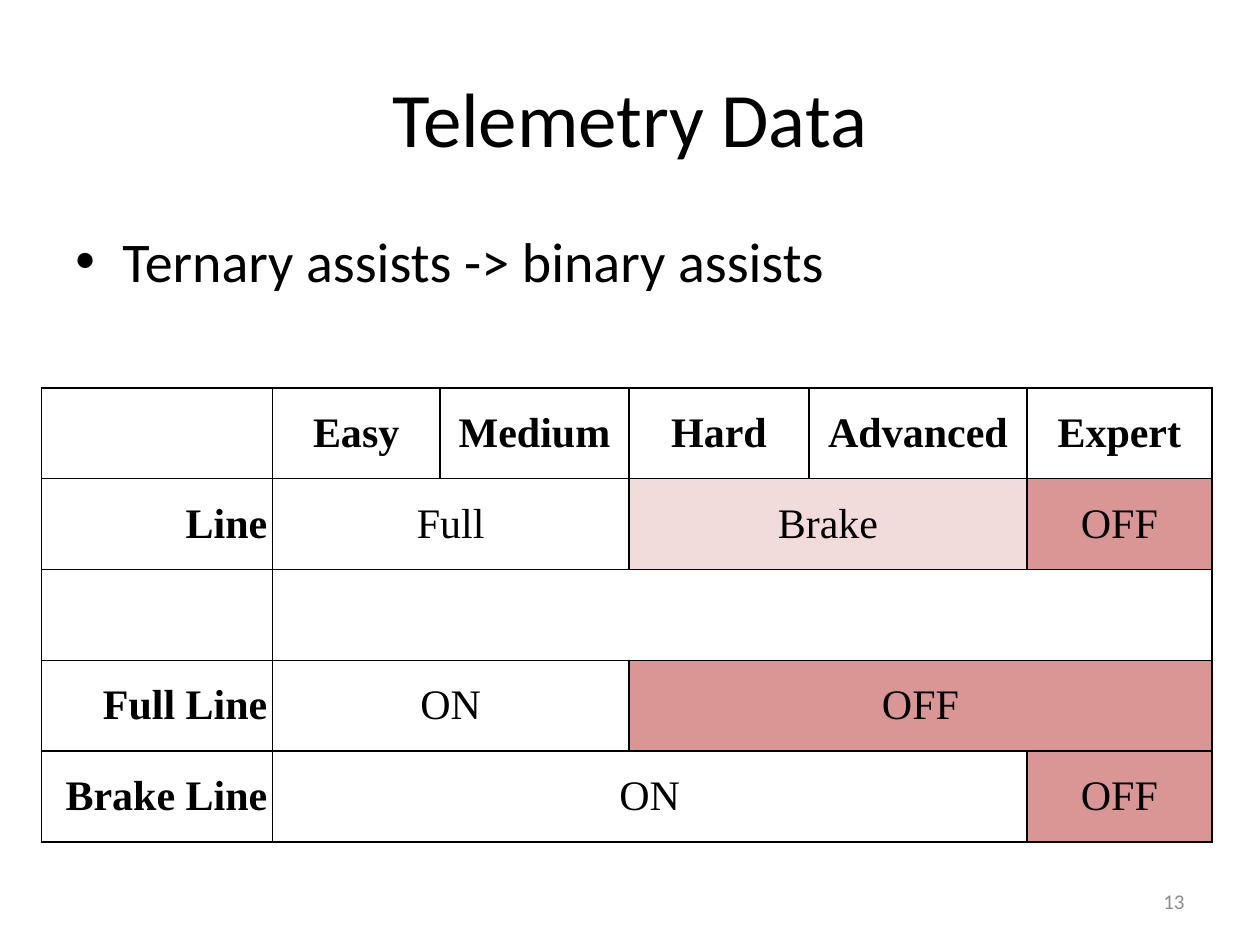
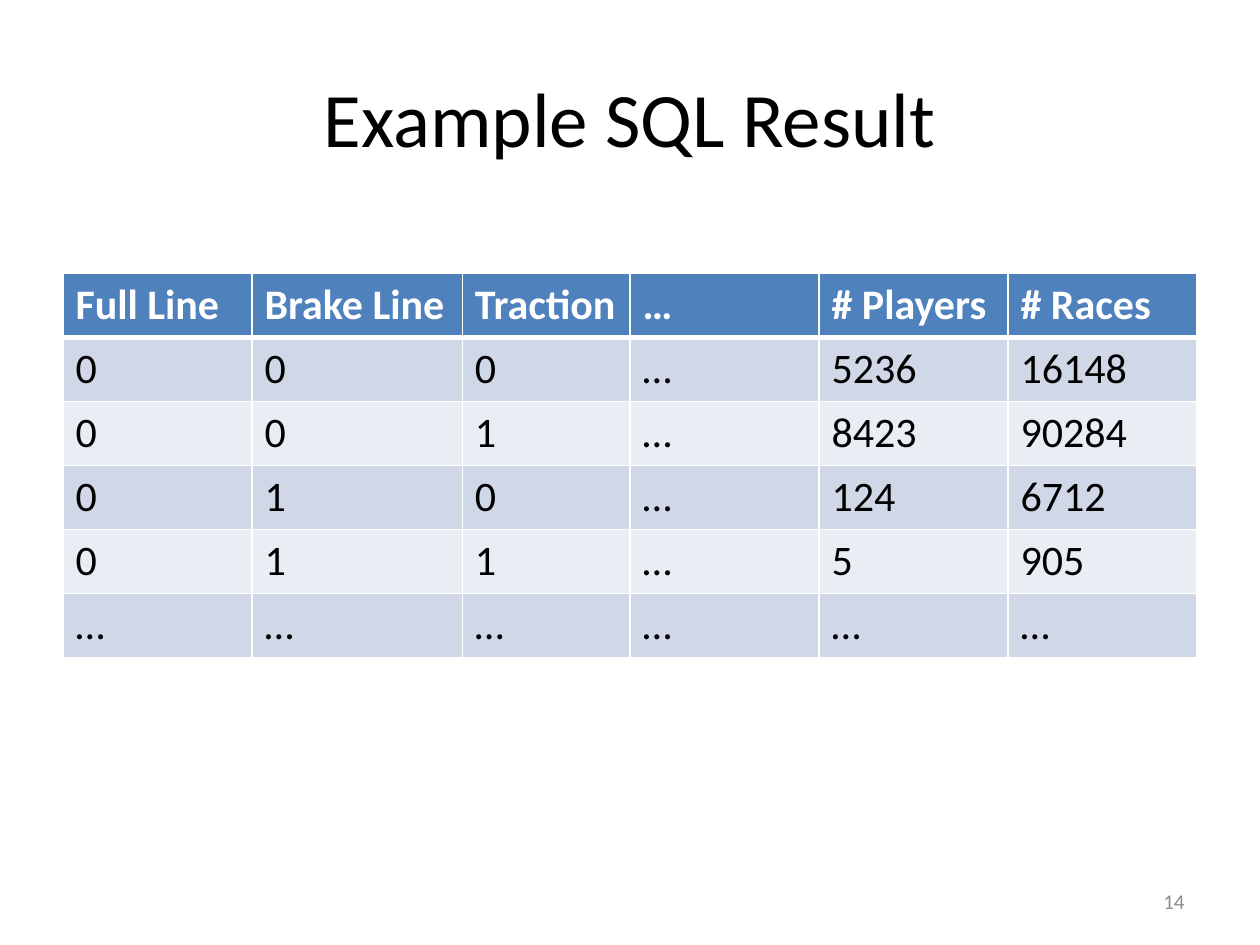
from lxml import etree
from pptx import Presentation, util as u
from pptx.dml.color import RGBColor
from pptx.enum import text as t
from pptx.oxml.ns import qn

COLORS = {
    "black": "000000", "white": "FFFFFF", "number": "8C8C8C",
    "brake": "F2DCDB", "off": "D99694",
    "header": "4F81BD", "band_dark": "D0D8E8", "band_light": "E9EDF4",
}
BODY_FONT, ASSIST_FONT = "Calibri", "Times New Roman"
LEFT, CENTER, RIGHT = t.PP_ALIGN.LEFT, t.PP_ALIGN.CENTER, t.PP_ALIGN.RIGHT
MIDDLE, TOP = t.MSO_ANCHOR.MIDDLE, t.MSO_ANCHOR.TOP


def rgb(name):
    return RGBColor.from_string(COLORS[name])


def write(frame, text, size=24, font=BODY_FONT, color="black", bold=False,
          align=LEFT, bullet=None):
    para = frame.paragraphs[0]
    para.alignment = align
    if bullet:
        properties = para._p.get_or_add_pPr()
        properties.set("marL", str(u.Cm(0.95)))
        properties.set("indent", str(u.Cm(-0.95)))
        etree.SubElement(properties, qn("a:buFont"), typeface="Arial")
        etree.SubElement(properties, qn("a:buChar"), char=bullet)
    span = para.add_run()
    span.text = text
    span.font.size = u.Pt(size)
    span.font.name = font
    span.font.bold = bold
    span.font.color.rgb = rgb(color)


def add_text(page, text, left, top, width, height, anchor=TOP, **style):
    box = page.shapes.add_textbox(u.Cm(left), u.Cm(top), u.Cm(width), u.Cm(height))
    box.text_frame.word_wrap = True
    box.text_frame.vertical_anchor = anchor
    write(box.text_frame, text, **style)


def add_page(deck, title, number):
    page = deck.slides.add_slide(deck.slide_layouts[5])
    heading = page.shapes.title
    heading.left, heading.top = u.Cm(1.27), u.Cm(0.76)
    heading.width, heading.height = u.Cm(22.86), u.Cm(3.18)
    heading.text_frame.vertical_anchor = MIDDLE
    write(heading.text_frame, title, size=44, align=CENTER)
    add_text(page, str(number), 18.2, 17.65, 5.93, 1.02, anchor=MIDDLE,
             size=12, color="number", align=RIGHT)
    return page


def set_borders(cell, color, **widths):
    """Draw the four cell edges, 1 pt unless a width is given for an edge."""
    properties = cell._tc.get_or_add_tcPr()
    for edge in "LRTB":
        line = etree.SubElement(properties, qn(f"a:ln{edge}"),
                                w=str(u.Pt(widths.get(edge, 1))))
        fill = etree.SubElement(line, qn("a:solidFill"))
        etree.SubElement(fill, qn("a:srgbClr"), val=COLORS[color])


def add_grid(page, left, top, columns, row_height, row_count):
    frame = page.shapes.add_table(row_count, len(columns), u.Cm(left), u.Cm(top),
                                  u.Cm(sum(columns)), u.Cm(row_height * row_count))
    table = frame.table
    table.first_row = table.horz_banding = False
    for column, width in zip(table.columns, columns):
        column.width = u.Cm(width)
    for row in table.rows:
        row.height = u.Cm(row_height)
    return table


def fill_cell(cell, fill):
    cell.fill.solid()
    cell.fill.fore_color.rgb = rgb(fill)


def add_assist_table(page, rows):
    """Each row is a label and a list of (text, column span, fill)."""
    table = add_grid(page, 0.84, 7.82, [4.65, 3.38, 3.81, 3.63, 4.39, 3.73],
                     1.83, len(rows))
    for r, (label, values) in enumerate(rows):
        c = 0
        for text, width, fill in [(label, 1, "white"), *values]:
            for k in range(c, c + width):
                set_borders(table.cell(r, k), "black")
                fill_cell(table.cell(r, k), fill)
            cell = table.cell(r, c)
            if width > 1:
                cell.merge(table.cell(r, c + width - 1))
            cell.vertical_anchor = MIDDLE
            cell.margin_left = cell.margin_right = u.Cm(0.1)
            cell.margin_top = cell.margin_bottom = u.Cm(0.08)
            if text:
                write(cell.text_frame, text, font=ASSIST_FONT,
                      bold=r == 0 or c == 0, align=CENTER if c else RIGHT)
            c += width


def add_result_table(page, rows):
    table = add_grid(page, 1.27, 5.51, [3.81, 4.24, 3.38, 3.81, 3.81, 3.81],
                     1.29, len(rows))
    for r, values in enumerate(rows):
        header = r == 0
        fill = "header" if header else "band_dark" if r % 2 else "band_light"
        for c, text in enumerate(values):
            cell = table.cell(r, c)
            set_borders(cell, "white", T=3 if r == 1 else 1, B=3 if header else 1)
            fill_cell(cell, fill)
            write(cell.text_frame, text, bold=header,
                  color="white" if header else "black")


def main():
    deck = Presentation()
    deck.slide_width, deck.slide_height = u.Cm(25.4), u.Cm(19.05)

    # Assist levels by difficulty
    page = add_page(deck, "Telemetry Data", 13)
    add_text(page, "Ternary assists -> binary assists", 1.27, 4.45, 22.86, 2.5,
             size=32, bullet="•")
    levels = ["Easy", "Medium", "Hard", "Advanced", "Expert"]
    add_assist_table(page, [
        ("", [(level, 1, "white") for level in levels]),
        ("Line", [("Full", 2, "white"), ("Brake", 2, "brake"), ("OFF", 1, "off")]),
        ("", [("", 5, "white")]),
        ("Full Line", [("ON", 2, "white"), ("OFF", 3, "off")]),
        ("Brake Line", [("ON", 4, "white"), ("OFF", 1, "off")]),
    ])

    # Query result
    page = add_page(deck, "Example SQL Result", 14)
    add_result_table(page, [
        ["Full Line", "Brake Line", "Traction", "…", "# Players", "# Races"],
        ["0", "0", "0", "…", "5236", "16148"],
        ["0", "0", "1", "…", "8423", "90284"],
        ["0", "1", "0", "…", "124", "6712"],
        ["0", "1", "1", "…", "5", "905"],
        ["…"] * 6,
    ])

    deck.save("out.pptx")


if __name__ == "__main__":
    main()
